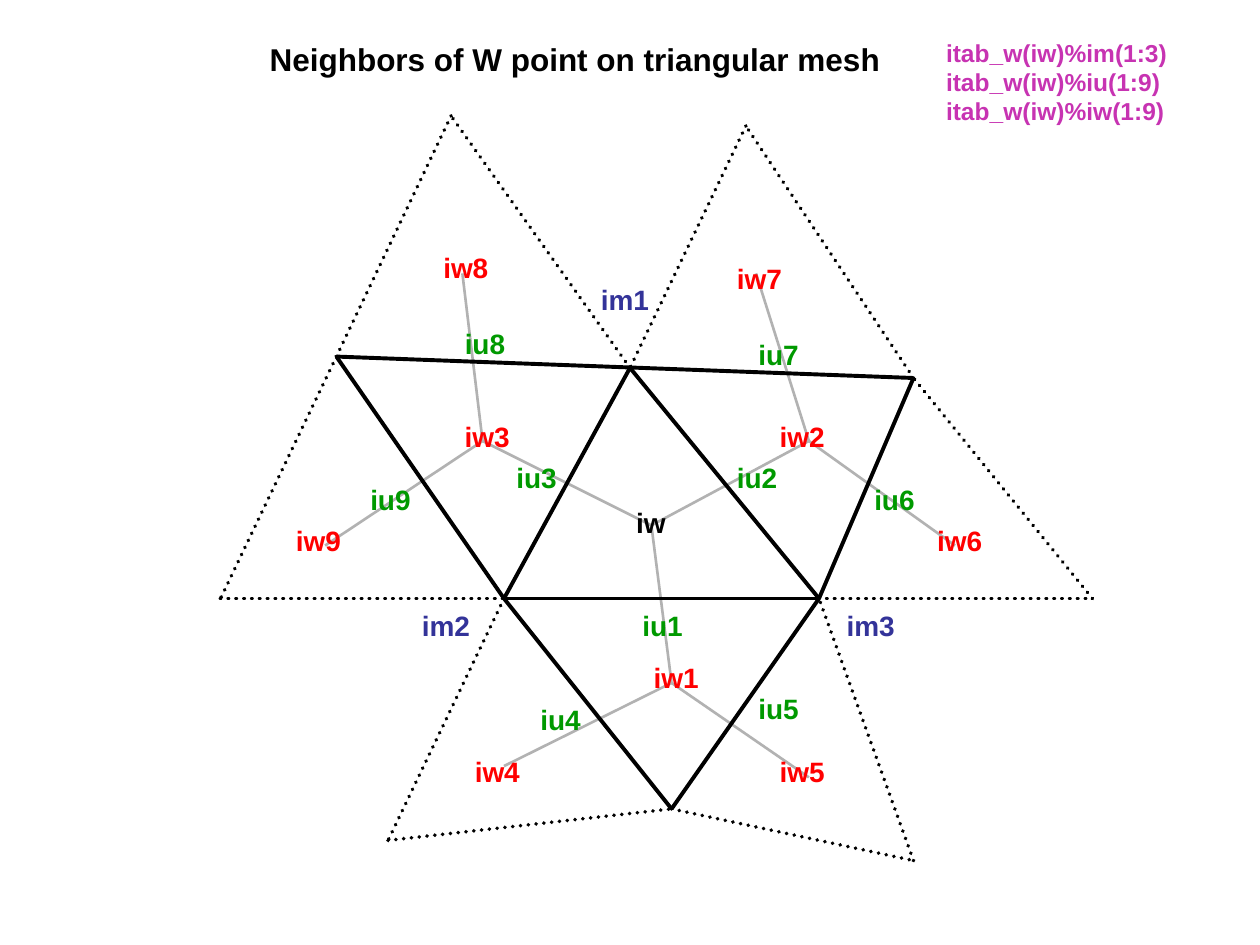
"""Build a slide showing the neighbors of a W point on a triangular mesh."""
from lxml import etree
from pptx import Presentation
from pptx.dml.color import RGBColor
from pptx.enum.dml import MSO_LINE
from pptx.enum.shapes import MSO_CONNECTOR
from pptx.enum.text import MSO_ANCHOR, MSO_AUTO_SIZE, PP_ALIGN
from pptx.oxml.ns import qn
from pptx.util import Inches, Pt

STRAIGHT = MSO_CONNECTOR.STRAIGHT
DOTTED = MSO_LINE.ROUND_DOT
TOP = MSO_ANCHOR.TOP
LEFT = PP_ALIGN.LEFT
FIT_SHAPE = MSO_AUTO_SIZE.SHAPE_TO_FIT_TEXT

THEME = {
    "font": "Arial",
    "title": (18, "000000"),
    "code": (14, "C733B2"),
    "iw": (16, "FF0000"),
    "iu": (16, "009900"),
    "im": (16, "333399"),
    "center": (16, "000000"),
    "link": ("B2B2B2", 1.5, None),
    "edge": ("000000", 2.25, None),
    "outer": ("000000", 2.25, DOTTED),
}

TITLE = ("Neighbors of W point on triangular mesh", (2.04, 0.27, 5.04, 0.4))
TABLES = ("itab_w(iw)%im(1:3)\nitab_w(iw)%iu(1:9)\nitab_w(iw)%iw(1:9)",
          (7.41, 0.25, 1.95, 0.8))

POINTS = {
    "iw": (5.17, 4.17), "iw1": (5.33, 5.42), "iw2": (6.42, 3.5),
    "iw3": (3.83, 3.5), "iw4": (4, 6.08), "iw5": (6.42, 6.17),
    "iw6": (7.58, 4.33), "iw7": (6, 2.17), "iw8": (3.67, 2.17),
    "iw9": (2.58, 4.33),
    "im1": (5, 2.92), "im2": (4, 4.75), "im3": (6.5, 4.75),
    "bottom": (5.33, 6.42), "left": (2.67, 2.83), "right": (7.25, 3),
    "tip4": (3.08, 6.67), "tip5": (7.25, 6.83), "tip6": (8.67, 4.75),
    "tip7": (5.92, 1), "tip8": (3.58, 0.92), "tip9": (1.75, 4.75),
}

PATHS = [
    ("link", ["iw8", "iw3", "iw9"]),
    ("link", ["iw4", "iw1", "iw5"]),
    ("link", ["iw7", "iw2", "iw6"]),
    ("link", ["iw2", "iw", "iw1"]),
    ("link", ["iw3", "iw"]),
    ("edge", ["im2", "im3", "im1", "im2", "bottom", "im3", "right", "left", "im2"]),
    ("outer", ["im2", "tip4", "bottom", "tip5", "im3", "tip6", "right", "tip7",
               "im1", "tip8", "left", "tip9", "im2"]),
]

LABEL_HEIGHT = 0.37
LABEL_WIDTHS = {"center": 0.43, "iw": 0.56, "iu": 0.52, "im": 0.58}
LABELS = {
    "center": {"iw": (4.95, 3.96)},
    "iw": {"iw1": (5.09, 5.19), "iw2": (6.09, 3.28), "iw3": (3.59, 3.28),
           "iw4": (3.67, 5.94), "iw5": (6.09, 5.94), "iw6": (7.34, 4.11),
           "iw7": (5.75, 2.03), "iw8": (3.42, 1.94), "iw9": (2.25, 4.11)},
    "iu": {"iu1": (5, 4.78), "iu2": (5.75, 3.61), "iu3": (4, 3.61),
           "iu4": (4.19, 5.53), "iu5": (5.92, 5.44), "iu6": (6.84, 3.78),
           "iu7": (5.92, 2.63), "iu8": (3.59, 2.54), "iu9": (2.84, 3.78)},
    "im": {"im1": (4.67, 2.19), "im2": (3.25, 4.78), "im3": (6.62, 4.78)},
}


def draw_line(slide, start, end, style):
    color, width, dash = THEME[style]
    connector = slide.shapes.add_connector(
        STRAIGHT, *(Inches(value) for value in (*POINTS[start], *POINTS[end])))
    connector.line.color.rgb = RGBColor.from_string(color)
    connector.line.width = Pt(width)
    properties = connector._element.spPr
    if dash:
        connector.line.dash_style = dash
        properties.find(qn("a:ln")).set("cap", "rnd")
    etree.SubElement(properties, qn("a:effectLst"))


def write_text(shape, text, style):
    size, color = THEME[style]
    text_frame = shape.text_frame
    text_frame.text = text
    text_frame.word_wrap = True
    text_frame.margin_right = Inches(0)
    text_frame.auto_size = FIT_SHAPE
    text_frame.vertical_anchor = TOP
    for paragraph in text_frame.paragraphs:
        paragraph.alignment = LEFT
        paragraph.line_spacing = 1.0
        paragraph.space_before = Pt(0)
        for run in paragraph.runs:
            run.font.name = THEME["font"]
            run.font.size = Pt(size)
            run.font.bold = True
            run.font.color.rgb = RGBColor.from_string(color)


def add_text(slide, text, box, style):
    shape = slide.shapes.add_textbox(*(Inches(value) for value in box))
    write_text(shape, text, style)


def main():
    presentation = Presentation()
    presentation.slide_width, presentation.slide_height = Inches(10), Inches(7.5)
    slide = presentation.slides.add_slide(presentation.slide_layouts.get_by_name("Title Only"))

    for style, stops in PATHS:
        for start, end in zip(stops, stops[1:]):
            draw_line(slide, start, end, style)

    for style, labels in LABELS.items():
        for text, corner in labels.items():
            add_text(slide, text, (*corner, LABEL_WIDTHS[style], LABEL_HEIGHT), style)

    text, box = TITLE
    title = slide.shapes.title
    title.left, title.top, title.width, title.height = (Inches(value) for value in box)
    write_text(title, text, "title")
    add_text(slide, *TABLES, "code")
    presentation.save("out.pptx")


if __name__ == "__main__":
    main()
